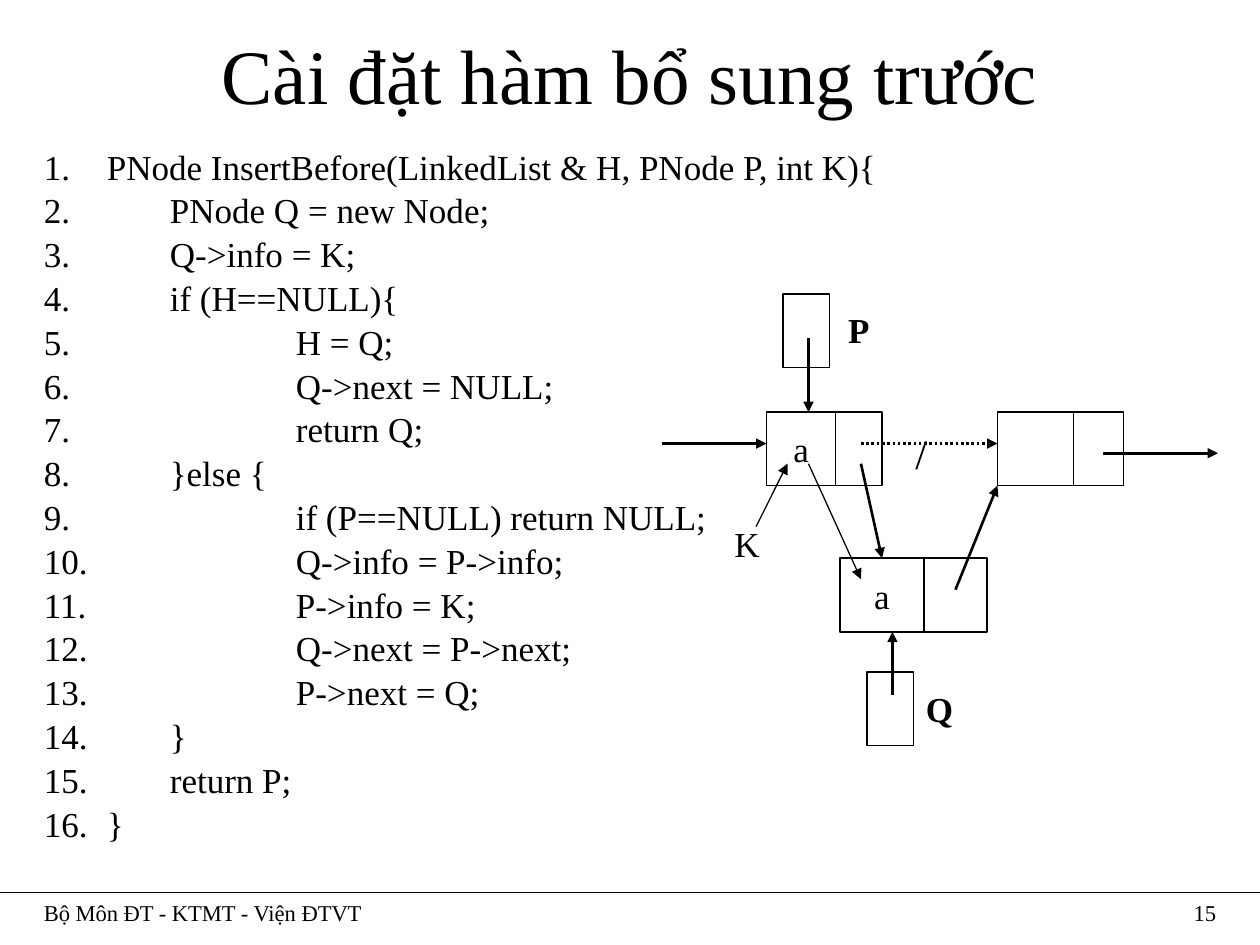
from lxml.etree import SubElement
from pptx import Presentation
from pptx.dml.color import RGBColor
from pptx.enum.dml import MSO_LINE
from pptx.enum.shapes import MSO_CONNECTOR, MSO_SHAPE
from pptx.enum.text import MSO_ANCHOR, PP_ALIGN
from pptx.oxml.ns import qn
from pptx.util import Pt

COLORS = {"ink": "000000", "paper": "FFFFFF"}
INK = RGBColor.from_string(COLORS["ink"])
FONT = "Times New Roman"

prs = Presentation()
prs.slide_width, prs.slide_height = Pt(720), Pt(540)
slide = prs.slides.add_slide(prs.slide_layouts[5])
slide.background.fill.solid()
slide.background.fill.fore_color.rgb = RGBColor.from_string(COLORS["paper"])


def write(frame, text, size, align=PP_ALIGN.LEFT, bold=False, wrap=True, anchor=MSO_ANCHOR.TOP):
    """Fill a text frame, one paragraph per line of text."""
    frame.text = text
    frame.word_wrap = wrap
    frame.vertical_anchor = anchor
    look = {"name": FONT, "size": Pt(size), "bold": bold}
    for paragraph in frame.paragraphs:
        paragraph.alignment = align
        for run in paragraph.runs:
            for attribute, value in look.items():
                setattr(run.font, attribute, value)
            run.font.color.rgb = INK


def draw_line(x1, y1, x2, y2, width, arrow=True):
    line = slide.shapes.add_connector(MSO_CONNECTOR.STRAIGHT, Pt(x1), Pt(y1), Pt(x2), Pt(y2))
    line.line.width = Pt(width)
    line.line.color.rgb = INK
    if arrow:
        SubElement(line.line._get_or_add_ln(), qn("a:tailEnd"), type="triangle")
    SubElement(line._element.spPr, qn("a:effectLst"))
    return line


# Title
title = slide.shapes.title
for side, value in {"left": 18, "top": 6, "width": 684, "height": 72}.items():
    setattr(title, side, Pt(value))
write(title.text_frame, "Cài đặt hàm bổ sung trước", 44, PP_ALIGN.CENTER, anchor=MSO_ANCHOR.MIDDLE)

# Numbered code listing
CODE = [
    "PNode InsertBefore(LinkedList & H, PNode P, int K){",
    "\tPNode Q = new Node;",
    "\tQ->info = K;",
    "\tif (H==NULL){",
    "\t\tH = Q;",
    "\t\tQ->next = NULL;",
    "\t\treturn Q;",
    "\t}else {",
    "\t\tif (P==NULL) return NULL;",
    "\t\tQ->info = P->info;",
    "\t\tP->info = K;",
    "\t\tQ->next = P->next;",
    "\t\tP->next = Q;",
    "\t}",
    "\treturn P;",
    "}",
]
listing = slide.shapes.add_textbox(Pt(18), Pt(84), Pt(684), Pt(414)).text_frame
write(listing, "\n".join(CODE), 20)
for paragraph in listing.paragraphs:
    paragraph.line_spacing = 0.8
    paragraph.space_before = Pt(5.8)
    properties = paragraph._p.get_or_add_pPr()
    properties.set("marL", str(Pt(36)))
    properties.set("indent", str(-Pt(36)))
    SubElement(properties, qn("a:buFont"), typeface=FONT)
    SubElement(properties, qn("a:buAutoNum"), type="arabicPeriod")
    tabs = SubElement(properties, qn("a:tabLst"))
    for stop in (72, 144):
        SubElement(tabs, qn("a:tab"), pos=str(Pt(stop)), algn="l")

# List nodes and pointers: left, top, width, text
CELL_HEIGHT = 42
LIST_TOP, NEW_TOP = 235.5, 319
cells = {
    "p node info": (438, LIST_TOP, 39.5, "a"),
    "p node next": (477.5, LIST_TOP, 26.5, ""),
    "following info": (570, LIST_TOP, 43.5, ""),
    "following next": (613.5, LIST_TOP, 28.5, ""),
    "new node info": (480, NEW_TOP, 48, "a"),
    "new node next": (528, NEW_TOP, 36, ""),
    "P pointer": (447.5, 168, 26.5, ""),
    "Q pointer": (495.5, 384, 26.5, ""),
}
nodes = {}
for part, (left, top, width, text) in cells.items():
    cell = slide.shapes.add_shape(MSO_SHAPE.RECTANGLE, Pt(left), Pt(top), Pt(width), Pt(CELL_HEIGHT))
    cell.shadow.inherit = False
    cell.fill.background()
    cell.line.color.rgb = INK
    cell.line.width = Pt(1)
    if text:
        write(cell.text_frame, text, 20, PP_ALIGN.CENTER, wrap=False, anchor=MSO_ANCHOR.MIDDLE)
    nodes[part] = cell

# Links between nodes
for ends in [
    (378, 253.5, 438, 253.5),
    (630, 259, 696, 259),
    (462, 193, 462, LIST_TOP),
    (510, 397, 510, NEW_TOP + CELL_HEIGHT),
    (546, 337, 570, LIST_TOP + CELL_HEIGHT),
]:
    draw_line(*ends, 1.5)
old_link = draw_line(492, 253.5, 570, 253.5, 1.5)
old_link.line.dash_style = MSO_LINE.ROUND_DOT
new_link = draw_line(492, 265, 504, NEW_TOP, 1.5)
new_link.end_connect(nodes["new node info"], 0)

# Copied values
for ends in [(432, 301, 450, 265), (462, 265, 492, 331)]:
    draw_line(*ends, 0.75)

# Diagram labels: text, left, top, width, size, bold
for text, left, top, width, size, bold in [
    ("P", 477.5, 173, 26.5, 20, True),
    ("Q", 522, 389.5, 29.5, 20, True),
    ("K", 412.5, 295, 29, 20, False),
    ("/", 516, 240.5, 24, 24, False),
]:
    label = slide.shapes.add_textbox(Pt(left), Pt(top), Pt(width), Pt(31.5))
    write(label.text_frame, text, size, bold=bold, wrap=False)

# Footer
draw_line(0, 510, 720, 510, 0.75, arrow=False)
for text, left, width, align in [
    ("Bộ Môn ĐT - KTMT - Viện ĐTVT", 18, 612, PP_ALIGN.LEFT),
    ("15", 642, 60, PP_ALIGN.RIGHT),
]:
    footer = slide.shapes.add_textbox(Pt(left), Pt(510), Pt(width), Pt(24))
    write(footer.text_frame, text, 12.9, align)

prs.save("out.pptx")
